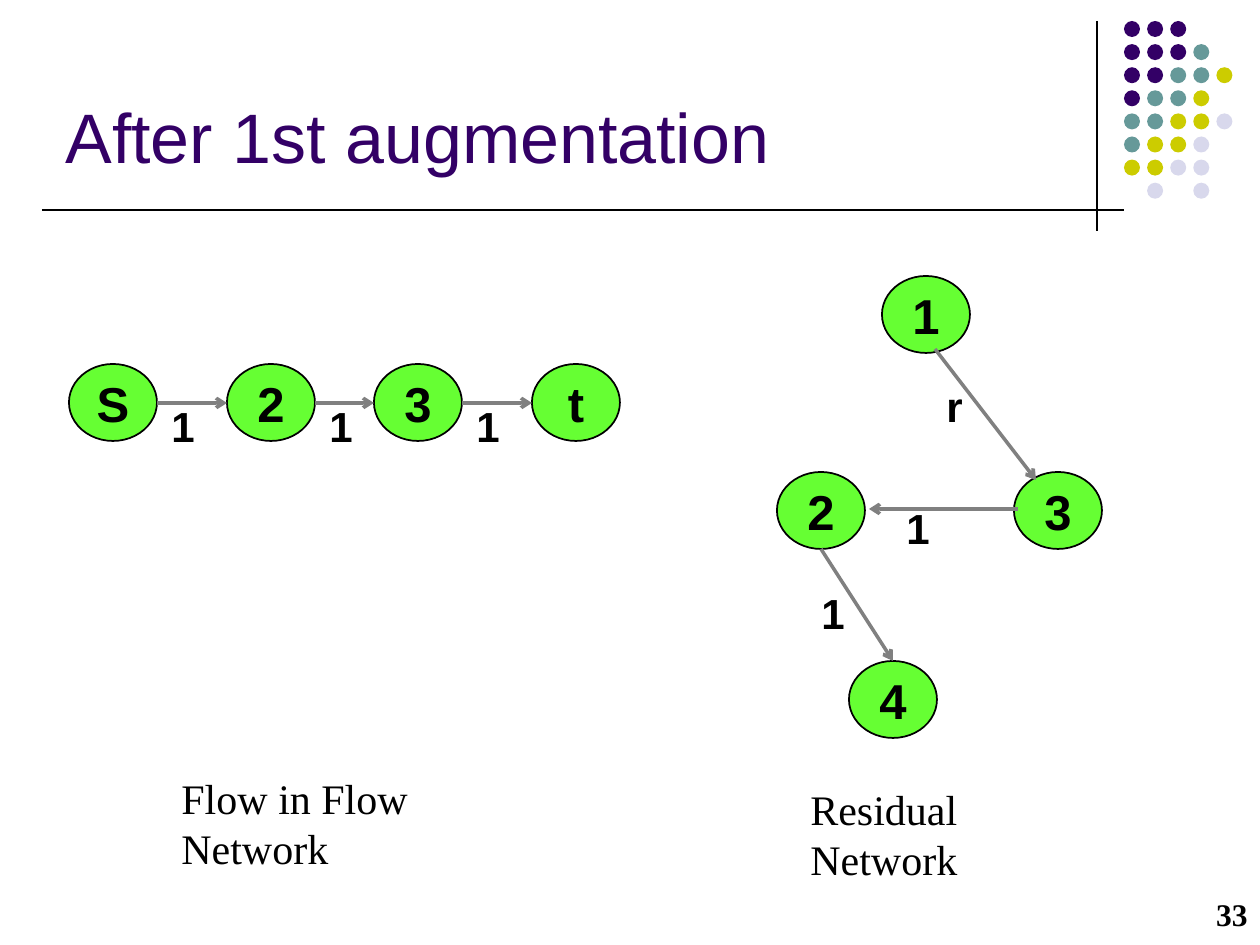
from itertools import pairwise

from lxml.etree import SubElement
from pptx import Presentation
from pptx.dml.color import RGBColor
from pptx.enum.shapes import MSO_CONNECTOR, MSO_SHAPE
from pptx.enum.text import MSO_ANCHOR, PP_ALIGN
from pptx.oxml.ns import qn
from pptx.util import Pt

SCALE = 914400 / 126
BLACK = RGBColor(0x00, 0x00, 0x00)
PURPLE = RGBColor(0x33, 0x00, 0x66)
GREEN = RGBColor(0x66, 0xFF, 0x33)
GRAY = RGBColor(0x80, 0x80, 0x80)
TEAL = RGBColor(0x66, 0x99, 0x99)
OLIVE = RGBColor(0xCC, 0xCC, 0x00)
LAVENDER = RGBColor(0xD8, 0xD8, 0xEC)
DOT_COLORS = {"P": PURPLE, "T": TEAL, "O": OLIVE, "L": LAVENDER}
DOT_ROWS = ["PPP", "PPPT", "PPTTO", "PTTO", "TTOOL", "TOOL", "OOLL", " L L"]
NODE_WIDTH, NODE_HEIGHT = 88, 77


def emu(*pixels):
    """Turn pixel lengths into EMU."""
    return [round(pixel * SCALE) for pixel in pixels]


def write(shape, text, size, font="Arial", bold=False, color=BLACK,
          align=PP_ALIGN.LEFT, anchor=MSO_ANCHOR.TOP, wrap=False):
    """Write one formatted run into a shape."""
    frame = shape.text_frame
    frame.word_wrap = wrap
    frame.vertical_anchor = anchor
    para = frame.paragraphs[0]
    para.alignment = align
    span = para.add_run()
    span.text = text
    span.font.size = Pt(size)
    span.font.name = font
    span.font.bold = bold
    span.font.color.rgb = color


def add_text(page, box, text, size, **style):
    """Add a text box."""
    write(page.shapes.add_textbox(*emu(*box)), text, size, **style)


def add_oval(page, box, fill):
    """Add a plain filled ellipse without an outline."""
    oval = page.shapes.add_shape(MSO_SHAPE.OVAL, *emu(*box))
    oval.shadow.inherit = False
    oval.fill.solid()
    oval.fill.fore_color.rgb = fill
    oval.line.fill.background()
    return oval


def add_line(page, start, end, color=BLACK, width=0.75, arrow=False):
    """Add a straight line, with an arrowhead at its end if asked."""
    line = page.shapes.add_connector(MSO_CONNECTOR.STRAIGHT, *emu(*start, *end))
    line.line.color.rgb = color
    line.line.width = Pt(width)
    properties = line.line._get_or_add_ln()
    if arrow:
        SubElement(properties, qn("a:tailEnd"), type="arrow")
    SubElement(line._element.spPr, qn("a:effectLst"))


def add_network(page, origin, nodes, edges, labels, caption):
    """Draw a captioned graph relative to its top left corner."""
    left, top = origin

    def place(point):
        return left + point[0], top + point[1]

    for name, point in nodes:
        node = add_oval(page, (*place(point), NODE_WIDTH, NODE_HEIGHT), GREEN)
        node.line.color.rgb = BLACK
        node.line.width = Pt(1)
        write(node, name, 28, bold=True, align=PP_ALIGN.CENTER,
              anchor=MSO_ANCHOR.MIDDLE)
    for start, end in edges:
        add_line(page, place(start), place(end), GRAY, 2, arrow=True)
    for text, point in labels:
        add_text(page, (*place(point), 77, 63), text, 24, bold=True, wrap=True)
    text, point, width = caption
    add_text(page, (*place(point), width, 63), text, 24, font="Times New Roman")


def add_flow_network(page, origin):
    """Draw the augmenting path as a row of nodes."""
    columns = [0, 158, 305, 463]
    middle = 39
    add_network(
        page, origin,
        nodes=[(name, (x, 0)) for name, x in zip("S23t", columns)],
        edges=[((x + NODE_WIDTH, middle), (following, middle))
               for x, following in pairwise(columns)],
        labels=[("1", (x + 90, 30)) for x in columns[:-1]],
        caption=("Flow in Flow Network", (100, 402), 408))


def add_residual_network(page, origin):
    """Draw the residual graph."""
    add_network(
        page, origin,
        nodes=[("1", (105, 0)), ("2", (0, 196)),
               ("3", (237, 196)), ("4", (72, 385))],
        edges=[((158, 73), (259, 204)), ((241, 233), (92, 233)),
               ((44, 273), (116, 385))],
        labels=[("r", (157, 98)), ("1", (117, 220)), ("1", (32, 305))],
        caption=("Residual Network", (21, 501), 329))


def add_decoration(page, origin):
    """Draw the dot grid and the two crossing rules."""
    left, top = origin
    pitch, size = 23.1, 16
    add_line(page, (left - 27, top), (left - 27, top + 210))
    add_line(page, (42, top + 189), (left, top + 189))
    for row, codes in enumerate(DOT_ROWS):
        for column, code in enumerate(codes):
            if code in DOT_COLORS:
                box = (left + column * pitch, top + row * pitch, size, size)
                add_oval(page, box, DOT_COLORS[code])


def add_title(page, box, text):
    """Move and format the title placeholder."""
    title = page.shapes.title
    title.left, title.top, title.width, title.height = emu(*box)
    write(title, text, 40, color=PURPLE, anchor=MSO_ANCHOR.BOTTOM, wrap=True)


def main():
    """Build and save the slide."""
    deck = Presentation()
    deck.slide_width, deck.slide_height = emu(1260, 945)
    page = deck.slides.add_slide(deck.slide_layouts[5])
    add_decoration(page, (1124, 21))
    add_title(page, (53, 105, 1134, 79), "After 1st augmentation")
    add_flow_network(page, (69, 364))
    add_residual_network(page, (777, 276))
    add_text(page, (1018, 882, 242, 63), "33", 18, font="Times New Roman",
             bold=True, align=PP_ALIGN.RIGHT, anchor=MSO_ANCHOR.MIDDLE)
    deck.save("out.pptx")


main()
